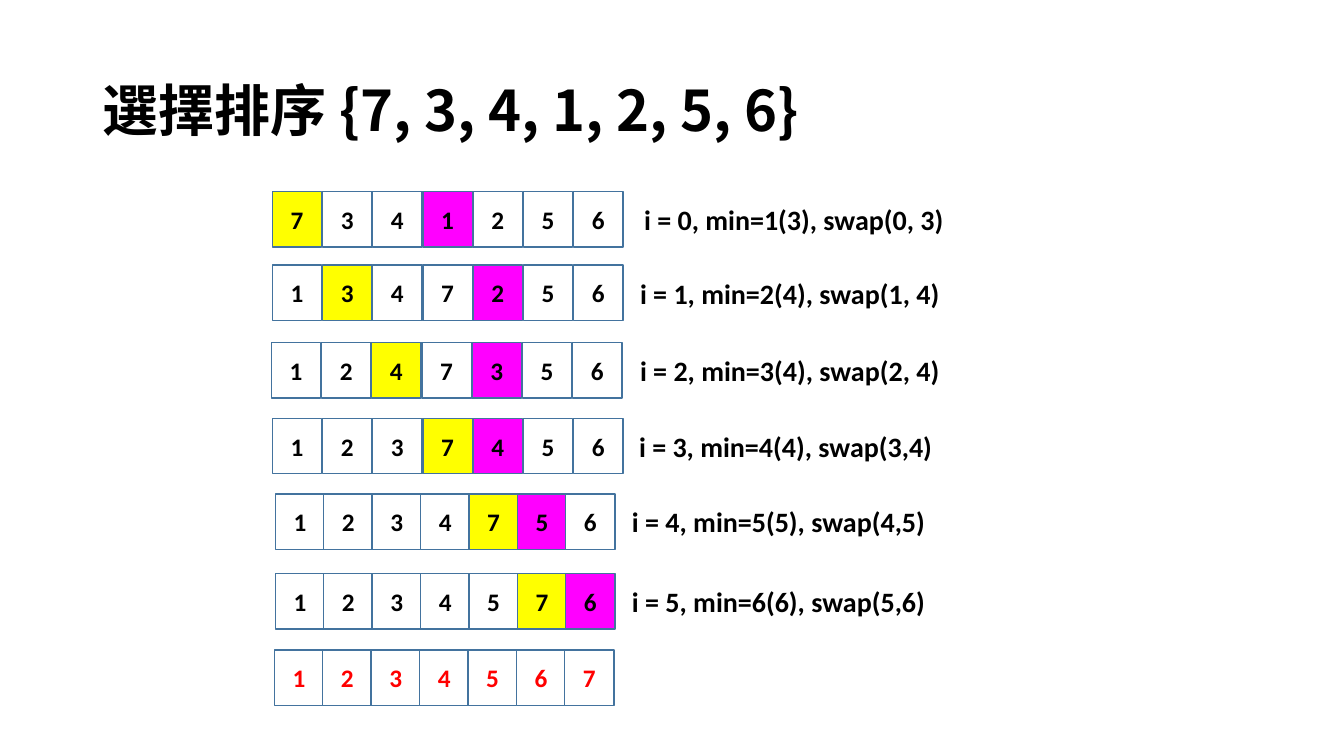
import pptx
import pptx.util
import pptx.dml.color
import pptx.enum.shapes
import pptx.enum.text
import lxml.etree

Inches = pptx.util.Inches
HUES = {"ink": "000000", "cell": "FFFFFF", "edge": "43739E",
        "turn": "FFFF00", "least": "FF00FF", "done": "FF0000"}
TITLE = "選擇排序 {7, 3, 4, 1, 2, 5, 6}"
FONT, HEAD = "Calibri", "Noto Sans CJK SC"

STEPS = [
    ("7341256", 2.70, 1.90, 0.498, 0, 3, "i = 0, min=1(3), swap(0, 3)", 6.29, 3.20),
    ("1347256", 2.70, 2.63, 0.498, 1, 4, "i = 1, min=2(4), swap(1, 4)", 6.25, 3.20),
    ("1247356", 2.69, 3.40, 0.498, 2, 4, "i = 2, min=3(4), swap(2, 4)", 6.25, 3.20),
    ("1237456", 2.70, 4.15, 0.498, 3, 4, "i = 3, min=4(4), swap(3,4)", 6.24, 3.13),
    ("1234756", 2.73, 4.90, 0.48, 4, 5, "i = 4, min=5(5), swap(4,5)", 6.17, 3.13),
    ("1234576", 2.73, 5.69, 0.48, 5, 6, "i = 5, min=6(6), swap(5,6)", 6.17, 3.13),
    ("1234567", 2.72, 6.45, 0.48, None, None, "", 0, 0),
]
WIDE, HIGH = 0.49, 0.55
DROP, TALL = 0.06, 0.44

deck = pptx.Presentation()
deck.slide_width, deck.slide_height = Inches(13.33), Inches(7.5)
slide = deck.slides.add_slide(deck.slide_layouts[6])


def color(name):
    return pptx.dml.color.RGBColor.from_string(HUES[name])


def write(shape, text, size, hue="ink", font=FONT):
    run = shape.text_frame.paragraphs[0].add_run()
    run.text = text
    run.font.size = pptx.util.Pt(size)
    run.font.bold = True
    run.font.name = font
    run.font.color.rgb = color(hue)
    return run


def add_title():
    box = slide.shapes.add_textbox(Inches(0.92), Inches(0.4), Inches(11.5), Inches(1.45))
    frame = box.text_frame
    frame.word_wrap = True
    frame.vertical_anchor = pptx.enum.text.MSO_ANCHOR.MIDDLE
    frame.paragraphs[0].line_spacing = 0.9
    run = write(box, TITLE, 40, font=HEAD)
    latin = run.font._element.find("{*}latin")
    east = lxml.etree.Element(latin.tag.replace("latin", "ea"), typeface=HEAD)
    latin.addnext(east)


def add_cell(digit, left, top, fill, hue):
    cell = slide.shapes.add_shape(
        pptx.enum.shapes.MSO_SHAPE.RECTANGLE,
        Inches(left), Inches(top), Inches(WIDE), Inches(HIGH))
    cell.shadow.inherit = False
    cell.fill.solid()
    cell.fill.fore_color.rgb = color(fill)
    cell.line.color.rgb = color("edge")
    cell.line.width = pptx.util.Pt(1)
    cell.text_frame.vertical_anchor = pptx.enum.text.MSO_ANCHOR.MIDDLE
    cell.text_frame.paragraphs[0].alignment = pptx.enum.text.PP_ALIGN.CENTER
    write(cell, digit, 18, hue)


def add_note(text, left, top, width):
    box = slide.shapes.add_textbox(Inches(left), Inches(top), Inches(width), Inches(TALL))
    box.text_frame.word_wrap = False
    box.text_frame.auto_size = pptx.enum.text.MSO_AUTO_SIZE.SHAPE_TO_FIT_TEXT
    write(box, text, 20)


add_title()
for digits, left, top, pitch, turn, least, note, side, width in STEPS:
    fills = {turn: "turn", least: "least"}
    hue = "ink" if note else "done"
    for spot, digit in enumerate(digits):
        add_cell(digit, left + spot * pitch, top, fills.get(spot, "cell"), hue)
    if note:
        add_note(note, side, top + DROP, width)

deck.save("out.pptx")
